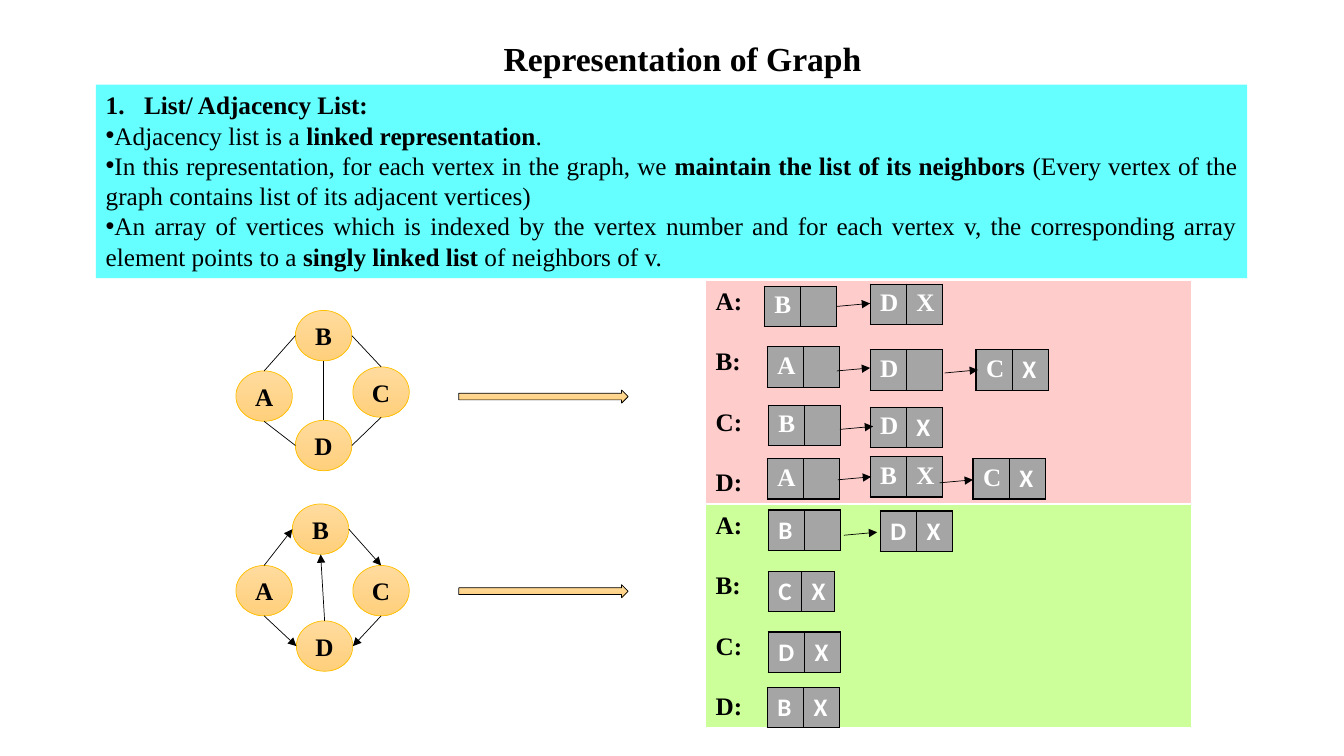
from lxml import etree
from pptx import Presentation
from pptx import util as u
from pptx.dml import color
from pptx.enum import shapes, text
from pptx.oxml import ns

PX = 9144
SERIF, SANS = "Times New Roman", "Calibri"
BLACK, WHITE, GREY = "000000", "FFFFFF", "A5A5A5"

TITLE = "Representation of Graph"
HEADING = "List/ Adjacency List:"
POINTS = [
    ["Adjacency list is a ", "linked representation", "."],
    ["In this representation, for each vertex in the graph, we ",
     "maintain the list of its neighbors",
     " (Every vertex of the graph contains list of its adjacent vertices)"],
    ["An array of vertices which is indexed by the vertex number and for each vertex v, "
     "the corresponding array element points to a ",
     "singly linked list", " of neighbors of v."],
]
VERTICES = ["A:", "B:", "C:", "D:"]
PANELS = [(278, "FFCCCC"), (500, "CCFF99")]
BLOCK_ARROW_TOPS = [387, 580]

NODE_WIDTH, NODE_HEIGHT = 56, 50
GRAPHS = [
    {"nodes": {"B": (293, 308), "A": (234, 368), "D": (293, 417), "C": (350, 364)},
     "edges": ["B left A top", "B right C top", "A bottom D left",
               "C bottom D right", "B bottom D top"],
     "directed": False},
    {"nodes": {"D": (294, 616), "C": (350, 561), "A": (234, 561), "B": (290, 500)},
     "edges": ["A top B left", "B right C top", "A bottom D left",
               "D top B bottom", "C bottom D right"],
     "directed": True},
]
SIDES = {"top": (0.5, 0), "left": (0, 0.5), "bottom": (0.5, 1), "right": (1, 0.5)}

CELL_HEIGHT = 40
LIST_CELLS = [
    (758, 284, 36, "B", "", SERIF, SERIF),
    (863, 282, 36, "D", "X", SERIF, SERIF),
    (761, 344, 36, "A", "", SERIF, SERIF),
    (863, 347, 36, "D", "", SERIF, SERIF),
    (968, 347, 36, "C", "X", SERIF, SANS),
    (762, 402, 36, "B", "", SERIF, SERIF),
    (863, 404, 36, "D", "X", SERIF, SANS),
    (761, 455, 36, "A", "", SERIF, SERIF),
    (863, 453, 36, "B", "X", SERIF, SERIF),
    (965, 455, 36, "C", "X", SERIF, SANS),
    (762, 506, 36, "B", "", SANS, SANS),
    (873, 507, 36, "D", "X", SANS, SANS),
    (762, 567, 33, "C", "X", SANS, SANS),
    (762, 627, 36, "D", "X", SANS, SANS),
    (761, 682, 36, "B", "X", SANS, SANS),
]
POINTER_STEP = (33, -3)
POINTER_STARTS = [(830, 304), (830, 368), (937, 370), (833, 426),
                  (831, 476), (932, 479), (837, 531)]


def rgb(value):
    return color.RGBColor.from_string(value)


def emu(*lengths):
    return [u.Emu(round(length * PX)) for length in lengths]


def style(paragraph, size=18, name=SERIF, hue=BLACK, bold=True):
    font = paragraph.font
    font.size, font.name, font.bold = u.Pt(size), name, bold
    font.color.rgb = rgb(hue)


def add_shape(kind, box, fill, line=None, width=0.5):
    shape = slide.shapes.add_shape(kind, *emu(*box))
    shape.shadow.inherit = False
    if fill == "gradient":
        shape.fill.gradient()
        shape.fill.gradient_angle = 270
        for stop, hue in zip(shape.fill.gradient_stops, ("FFDB9E", "FFD07C")):
            stop.color.rgb = rgb(hue)
    else:
        shape.fill.solid()
        shape.fill.fore_color.rgb = rgb(fill)
    if line:
        shape.line.color.rgb = rgb(line)
        shape.line.width = u.Pt(width)
    else:
        shape.line.fill.background()
    frame = shape.text_frame
    frame.word_wrap = True
    frame.vertical_anchor = text.MSO_ANCHOR.TOP
    return shape


def add_line(start, end, arrow):
    line = slide.shapes.add_connector(shapes.MSO_CONNECTOR.STRAIGHT, *emu(*start, *end))
    line.line.color.rgb = rgb(BLACK)
    line.line.width = u.Pt(0.5)
    if arrow:
        etree.SubElement(line.line._get_or_add_ln(), ns.qn("a:tailEnd"), type="triangle")
    etree.SubElement(line._element.spPr, ns.qn("a:effectLst"))


def add_bullet(paragraph, tag, **attributes):
    etree.SubElement(paragraph._p.get_or_add_pPr(), ns.qn(tag), **attributes)


def add_border(cell):
    properties = cell._tc.get_or_add_tcPr()
    for position, side in enumerate(("a:lnL", "a:lnR", "a:lnT", "a:lnB")):
        border = etree.Element(ns.qn(side), w=str(u.Pt(1)))
        fill = etree.SubElement(border, ns.qn("a:solidFill"))
        etree.SubElement(fill, ns.qn("a:srgbClr"), val=BLACK)
        properties.insert(position, border)


def add_list_cell(left, top, width, vertex, link, vertex_font, link_font):
    box = emu(left, top, 2 * width, CELL_HEIGHT)
    table = slide.shapes.add_table(1, 2, *box).table
    table.first_row = table.horz_banding = False
    for cell, content, name in zip(table.iter_cells(), (vertex, link), (vertex_font, link_font)):
        cell.text = content
        cell.fill.solid()
        cell.fill.fore_color.rgb = rgb(GREY)
        style(cell.text_frame.paragraphs[0], name=name, hue=WHITE)
        add_border(cell)


def add_description():
    frame = add_shape(shapes.MSO_SHAPE.RECTANGLE, (95, 84, 1142, 192), "66FFFF").text_frame
    heading = frame.paragraphs[0]
    heading.text = HEADING
    heading.alignment = text.PP_ALIGN.LEFT
    indent = emu(38)[0]
    heading._p.get_or_add_pPr().set("marL", str(indent))
    heading._p.get_or_add_pPr().set("indent", str(-indent))
    add_bullet(heading, "a:buFont", typeface="+mj-lt")
    add_bullet(heading, "a:buAutoNum", type="arabicPeriod")
    style(heading)
    for point in POINTS:
        paragraph = frame.add_paragraph()
        paragraph.alignment = text.PP_ALIGN.JUSTIFY
        add_bullet(paragraph, "a:buFont", typeface="Arial")
        add_bullet(paragraph, "a:buChar", char="•")
        style(paragraph, bold=False)
        for index, words in enumerate(point):
            run = paragraph.add_run()
            run.text = words
            if index % 2:
                run.font.bold = True


def add_graph(nodes, edges, directed):
    for name, (left, top) in nodes.items():
        box = (left, top, NODE_WIDTH, NODE_HEIGHT)
        frame = add_shape(shapes.MSO_SHAPE.OVAL, box, "gradient", "FFC000").text_frame
        frame.vertical_anchor = text.MSO_ANCHOR.MIDDLE
        frame.text = name
        frame.paragraphs[0].alignment = text.PP_ALIGN.CENTER
        style(frame.paragraphs[0])

    def anchor(name, side):
        across, down = SIDES[side]
        left, top = nodes[name]
        return left + across * NODE_WIDTH, top + down * NODE_HEIGHT

    for edge in edges:
        source, source_side, target, target_side = edge.split()
        add_line(anchor(source, source_side), anchor(target, target_side), directed)


presentation = Presentation()
presentation.slide_width, presentation.slide_height = emu(1333, 750)
slide = presentation.slides.add_slide(presentation.slide_layouts[6])

title = slide.shapes.add_textbox(*emu(117, 33, 1120, 50)).text_frame
title.word_wrap = True
title.text = TITLE
title.paragraphs[0].alignment = text.PP_ALIGN.CENTER
style(title.paragraphs[0], size=24)

add_description()
for graph in GRAPHS:
    add_graph(**graph)
for top in BLOCK_ARROW_TOPS:
    add_shape(shapes.MSO_SHAPE.RIGHT_ARROW, (455, top, 168, 13), "gradient", BLACK)

for top, fill in PANELS:
    box = (700, top, 482, 222)
    frame = add_shape(shapes.MSO_SHAPE.RECTANGLE, box, fill, WHITE, 0.75).text_frame
    frame.text = "\n".join(VERTICES)
    for index, paragraph in enumerate(frame.paragraphs):
        paragraph.alignment = text.PP_ALIGN.LEFT
        if index:
            paragraph.space_before = u.Pt(21.6)
        style(paragraph)

for list_cell in LIST_CELLS:
    add_list_cell(*list_cell)
for x, y in POINTER_STARTS:
    add_line((x, y), (x + POINTER_STEP[0], y + POINTER_STEP[1]), True)

presentation.save("out.pptx")
